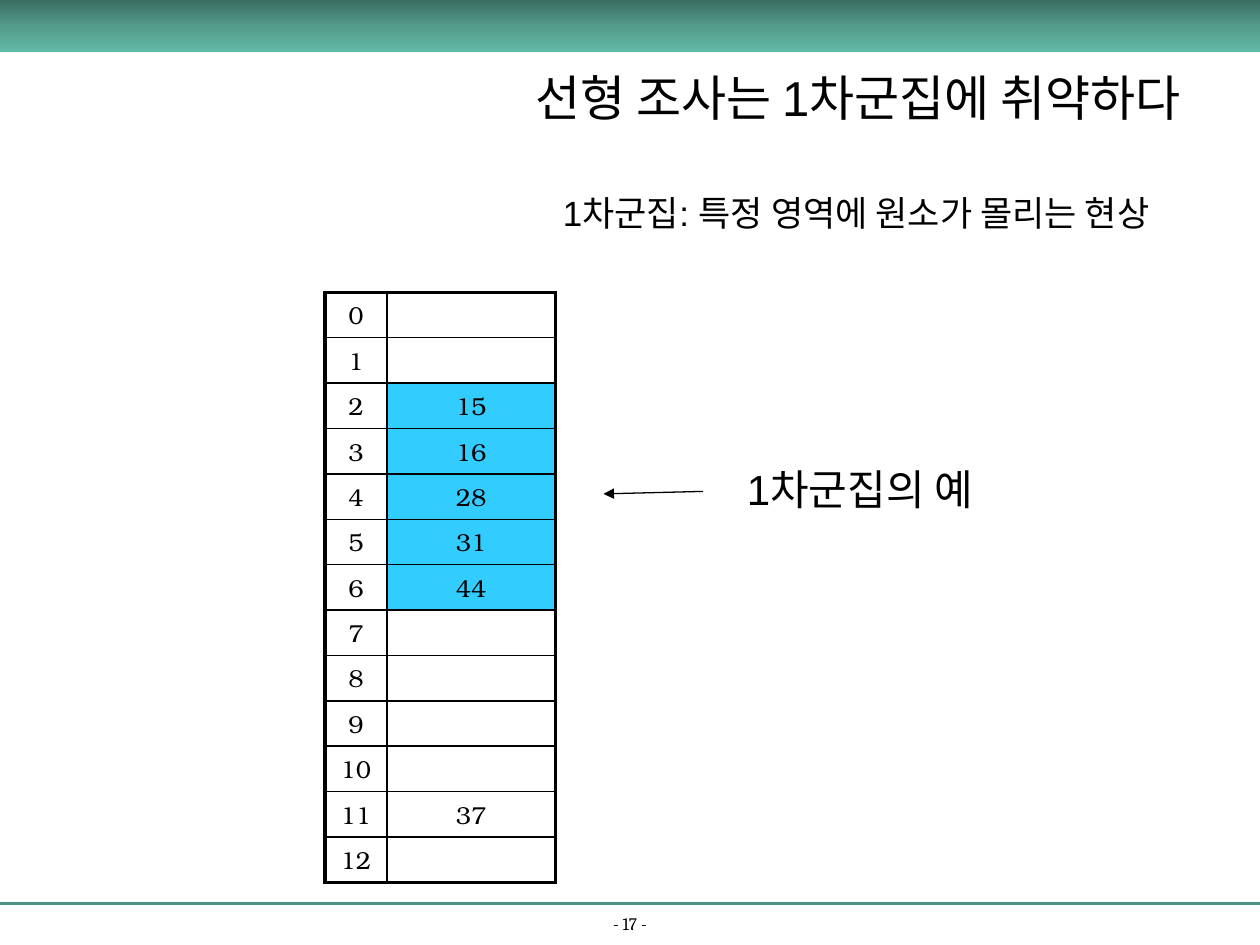
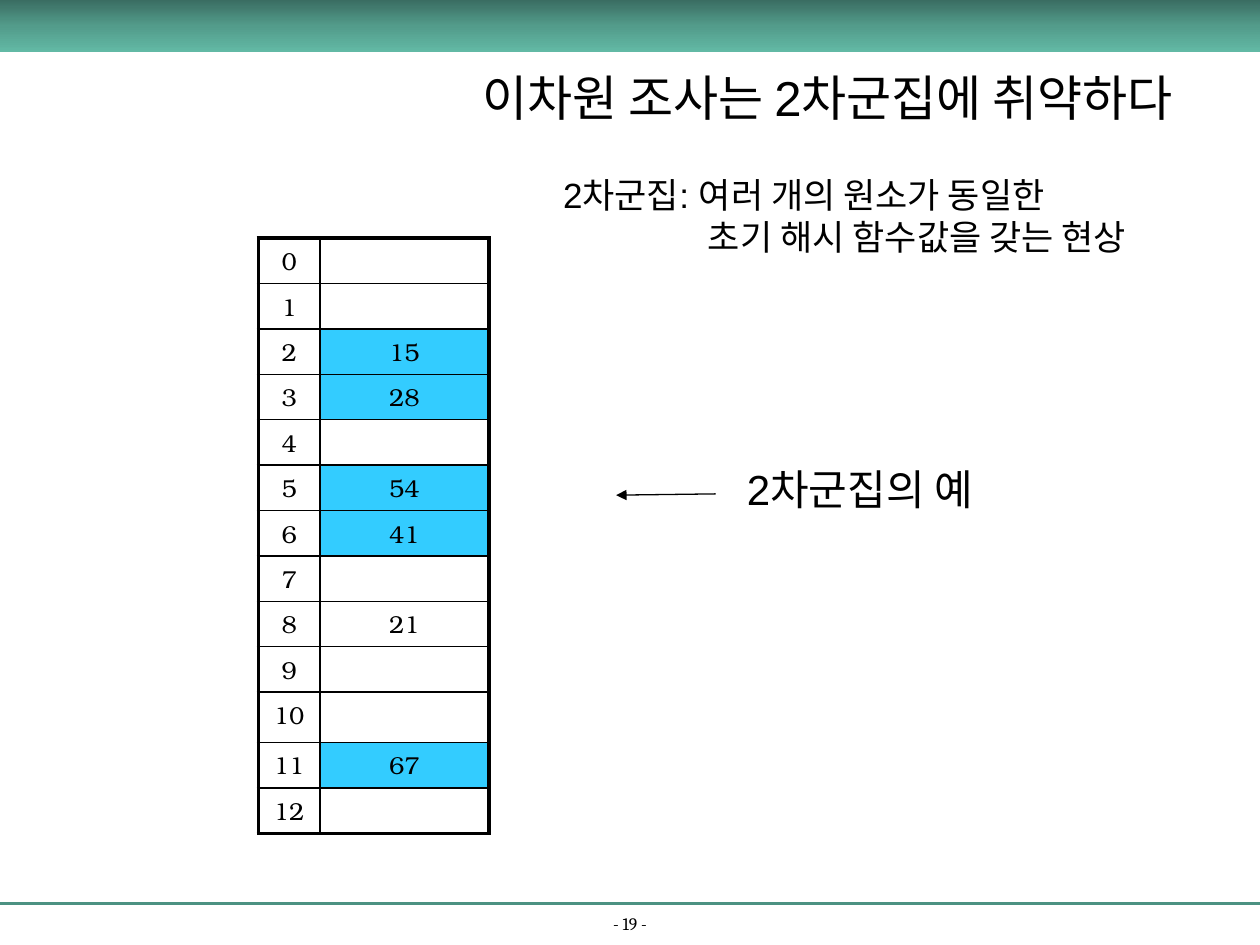
"""Two lecture slides on clustering in open-address hash tables."""
from lxml import etree
from pptx import Presentation
from pptx import util as u
from pptx.dml import color
from pptx.enum import shapes, text
from pptx.oxml import ns

COLORS = {
    "ink": "000000",
    "cluster": "33CCFF",
    "rule": "4C9282",
    "band_top": "3A6D62",
    "band_middle": "539C8B",
    "band_bottom": "62B9A5",
}
FORMATS = {
    "title": {"name": "Arial", "size": u.Pt(28)},
    "label": {"name": "Arial", "size": u.Pt(24)},
    "definition": {"name": "Arial", "size": u.Pt(20)},
    "cell": {"name": "TeX Gyre Bonum", "size": u.Pt(14)},
    "footer": {"name": "Cambria", "size": u.Pt(10)},
}
COLUMNS, ROWS = 100, 75  # square grid units over the slide
SLOTS = 13
SLOT_HEIGHT = 3.41
INDEX_WIDTH, VALUE_WIDTH = 4.9, 13.4
THIN, THICK = 1, 2.25


def rgb(name):
    """Return the named colour."""
    return color.RGBColor.from_string(COLORS[name])


def add_element(parent, tag, **values):
    """Append a drawing element with the given attributes."""
    return etree.SubElement(parent, ns.qn(tag), values)


class Slides:
    """Holds the deck, the shared style and the current page."""

    def __init__(self):
        """Start an empty deck of 10 by 7.5 inches."""
        self.deck = Presentation()
        self.deck.slide_width, self.deck.slide_height = u.Inches(10), u.Inches(7.5)
        self.page = None

    def grid(self, *pairs):
        """Turn alternating columns and rows into lengths."""
        units = (self.deck.slide_width / COLUMNS, self.deck.slide_height / ROWS)
        return [round(value * units[i % 2]) for i, value in enumerate(pairs)]

    def start(self, number):
        """Add a page with its rule, page number and top band."""
        self.page = self.deck.slides.add_slide(self.deck.slide_layouts[6])
        self.line((0, 71.7), (COLUMNS, 71.7), "rule", 1.5)
        self.text_box([f"- {number} -"], "footer", (0, 72.4, COLUMNS, 2.2),
                      align=text.PP_ALIGN.CENTER,
                      anchor=text.MSO_ANCHOR.BOTTOM, grow=False)
        self.band()

    def band(self):
        """Draw the shaded band along the top edge."""
        band = self.page.shapes.add_shape(
            shapes.MSO_SHAPE.RECTANGLE, *self.grid(0, 0, COLUMNS, 4.15))
        band.shadow.inherit = False
        band.line.fill.background()
        band.fill.gradient()
        band.fill.gradient_angle = 270
        stops = band._element.spPr.find(".//" + ns.qn("a:gsLst"))
        for stop in list(stops):
            stops.remove(stop)
        for i, name in enumerate(("band_top", "band_middle", "band_bottom")):
            stop = add_element(stops, "a:gs", pos=str(i * 50000))
            add_element(stop, "a:srgbClr", val=COLORS[name])

    def style(self, span, kind):
        """Apply a named text format to a run."""
        for key, value in FORMATS[kind].items():
            setattr(span.font, key, value)
        span.font.color.rgb = rgb("ink")

    def text_box(self, lines, kind, place, align=text.PP_ALIGN.LEFT,
                 anchor=text.MSO_ANCHOR.TOP, grow=True, hanging=0):
        """Add a text box; lines after the first are indented by hanging."""
        box = self.page.shapes.add_textbox(*self.grid(*place))
        frame = box.text_frame
        fit = text.MSO_AUTO_SIZE
        settings = {"word_wrap": not grow, "vertical_anchor": anchor,
                    "auto_size": fit.SHAPE_TO_FIT_TEXT if grow else fit.NONE}
        for key, value in settings.items():
            setattr(frame, key, value)
        for i, line in enumerate(lines):
            para = frame.add_paragraph() if i else frame.paragraphs[0]
            para.alignment = align
            if i and hanging:
                margin = self.grid(hanging)[0]
                para._p.get_or_add_pPr().set("marL", str(margin))
            span = para.add_run()
            span.text = line
            self.style(span, kind)

    def line(self, start, end, name="ink", width=0.75, arrow=False):
        """Draw a straight line, with an arrowhead at its end if asked."""
        line = self.page.shapes.add_connector(
            shapes.MSO_CONNECTOR.STRAIGHT, *self.grid(*start, *end))
        line.line.color.rgb = rgb(name)
        line.line.width = u.Pt(width)
        if arrow:
            add_element(line.line._get_or_add_ln(), "a:tailEnd", type="triangle")
        add_element(line._element.spPr, "a:effectLst")

    def borders(self, cell, thick_sides):
        """Draw the four borders of a cell, the outer ones thick."""
        holder = cell._tc.get_or_add_tcPr()
        for side in "LRTB":
            width = u.Pt(THICK if side in thick_sides else THIN)
            edge = add_element(holder, f"a:ln{side}", w=str(int(width)))
            fill = add_element(edge, "a:solidFill")
            add_element(fill, "a:srgbClr", val=COLORS["ink"])

    def fill_cell(self, cell, content, thick_sides, marked):
        """Set one table cell's text, borders and fill."""
        self.borders(cell, thick_sides)
        if marked:
            cell.fill.solid()
            cell.fill.fore_color.rgb = rgb("cluster")
        else:
            cell.fill.background()
        para = cell.text_frame.paragraphs[0]
        para.alignment = text.PP_ALIGN.CENTER
        spacing = add_element(para._p.get_or_add_pPr(), "a:spcBef")
        add_element(spacing, "a:spcPct", val="20000")
        if content:
            span = para.add_run()
            span.text = content
            self.style(span, "cell")
        else:
            size = FORMATS["cell"]["size"].centipoints
            para._p.get_or_add_endParaRPr().set("sz", str(size))

    def hash_table(self, left, top, values, clustered, tall_rows):
        """Draw the slots of a hash table, with clustered slots filled."""
        heights = [tall_rows.get(slot, SLOT_HEIGHT) for slot in range(SLOTS)]
        widths = (INDEX_WIDTH, VALUE_WIDTH)
        table = self.page.shapes.add_table(
            SLOTS, 2, *self.grid(left, top, sum(widths), sum(heights))).table
        table.first_row = table.horz_banding = False
        for column, width in zip(table.columns, widths):
            column.width = self.grid(width)[0]
        for slot, height in enumerate(heights):
            table.rows[slot].height = self.grid(0, height)[1]
            outer = {0: "T", SLOTS - 1: "B"}.get(slot, "")
            self.fill_cell(table.cell(slot, 0), str(slot), outer + "L", False)
            self.fill_cell(table.cell(slot, 1), str(values.get(slot, "")),
                           outer + "R", slot in clustered)


PAGES = [
    {
        "number": 17,
        "title": ("선형 조사는 1차군집에 취약하다", (41.5, 4.9, 58, 5.7)),
        "definition": (["1차군집: 특정 영역에 원소가 몰리는 현상"],
                       (43.7, 14.7, 52.6, 4.3)),
        "label": "1차군집의 예",
        "arrow": ((55.8, 39), (47.9, 39.2)),
        "table": {"left": 25.8, "top": 23.2,
                  "values": {2: 15, 3: 16, 4: 28, 5: 31, 6: 44, 11: 37},
                  "clustered": range(2, 7), "tall_rows": {}},
    },
    {
        "number": 19,
        "title": ("이차원 조사는 2차군집에 취약하다", (37.3, 4.9, 61.9, 5.7)),
        "definition": (["2차군집: 여러 개의 원소가 동일한",
                        "초기 해시 함수값을 갖는 현상"],
                       (43.7, 13.3, 49.9, 7.7)),
        "label": "2차군집의 예",
        "arrow": ((56.8, 39.2), (48.9, 39.3)),
        "table": {"left": 20.5, "top": 18.9,
                  "values": {2: 15, 3: 28, 5: 54, 6: 41, 8: 21, 11: 67},
                  "clustered": (2, 3, 5, 6, 11), "tall_rows": {10: 4}},
    },
]


def main():
    """Build every page and save the deck."""
    slides = Slides()
    for content in PAGES:
        slides.start(content["number"])
        slides.hash_table(**content["table"])
        slides.text_box([content["label"]], "label", (58.3, 36.3, 21.5, 5))
        title, place = content["title"]
        slides.text_box([title], "title", place)
        slides.line(*content["arrow"], arrow=True)
        lines, place = content["definition"]
        slides.text_box(lines, "definition", place, hanging=11.5)
    slides.deck.save("out.pptx")


main()
